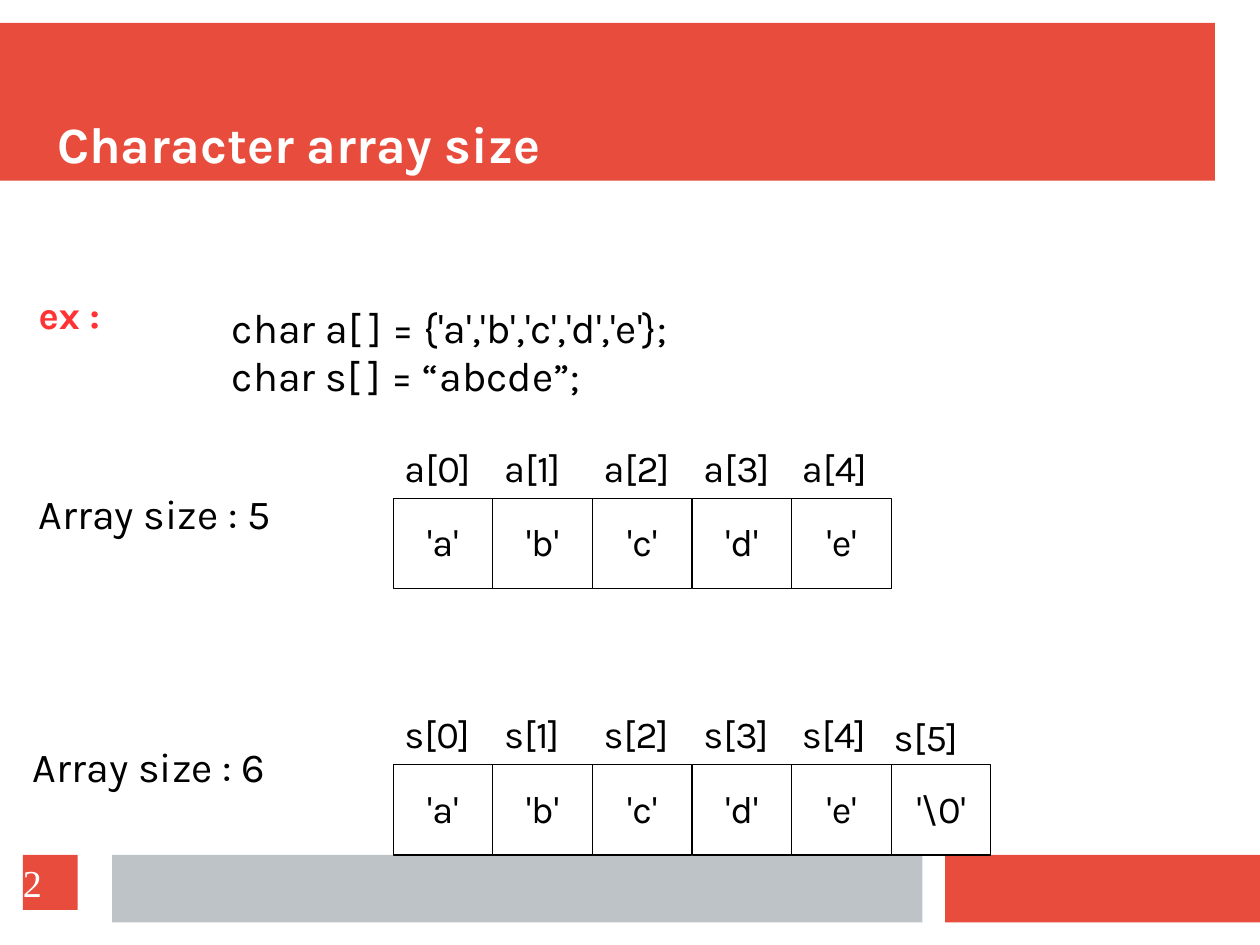
import pptx
import pptx.util
import pptx.dml.color
import pptx.enum.shapes
import pptx.enum.text

Inches = pptx.util.Inches
Pt = pptx.util.Pt
ALIGN = pptx.enum.text.PP_ALIGN
ANCHOR = pptx.enum.text.MSO_ANCHOR

COLORS = {"red": "E74C3C", "gray": "BDC3C7", "white": "FFFFFF",
          "black": "000000", "accent": "FF3333"}
SLIDE_W, SLIDE_H = 28 / 2.54, 21 / 2.54  # 28 x 21 cm
ARRAY_LEFT, LAST_CELL_LEFT = 3.44, 7.8
PITCH = (LAST_CELL_LEFT - ARRAY_LEFT) / 5
CELL_W, CELL_H = 0.87, 0.79
LABEL_H = 0.5


def rgb(name):
    return pptx.dml.color.RGBColor.from_string(COLORS[name])


def write(tf, text, color="black", align=ALIGN.LEFT, spacing=0.97,
          frame=None, **font):
    """Fill a text frame, one paragraph per line."""
    frame_format = {"word_wrap": True, "vertical_anchor": ANCHOR.TOP,
                    "auto_size": pptx.enum.text.MSO_AUTO_SIZE.NONE}
    for name, value in {**frame_format, **(frame or {})}.items():
        setattr(tf, name, value)
    font_format = {"name": "Karla", "size": Pt(24), "bold": False, **font}
    for i, line in enumerate(text.split("\n")):
        p = tf.paragraphs[0] if i == 0 else tf.add_paragraph()
        p.alignment, p.line_spacing = align, spacing
        r = p.add_run()
        r.text = line
        r.font.color.rgb = rgb(color)
        for name, value in font_format.items():
            setattr(r.font, name, value)


def add_rect(s, box, fill, line=None):
    sp = s.shapes.add_shape(pptx.enum.shapes.MSO_SHAPE.RECTANGLE,
                            *map(Inches, box))
    sp.shadow.inherit = False
    sp.fill.solid()
    sp.fill.fore_color.rgb = rgb(fill)
    if line:
        sp.line.color.rgb = rgb(line)
        sp.line.width = Pt(0.75)
    else:
        sp.line.fill.background()
    return sp


def add_text(s, box, text, **style):
    sp = s.shapes.add_textbox(*map(Inches, box))
    write(sp.text_frame, text, **style)


def add_header(s, box, text):
    """Red band with the title at its bottom."""
    x, y, w, h = box
    add_rect(s, box, "red")
    sp = s.shapes.title
    s.shapes.element.append(sp.element)  # bring in front of the band
    place = {"left": x + 0.39, "top": y + 0.39, "width": w - 0.44, "height": h - 0.44}
    for name, value in place.items():
        setattr(sp, name, Inches(value))
    write(sp.text_frame, text, color="white", size=Pt(32), bold=True,
          frame={"vertical_anchor": ANCHOR.BOTTOM, "margin_left": Inches(0.11),
                 "margin_right": 0, "margin_top": 0, "margin_bottom": 0})


def add_footer(s, box, number):
    """Gray and red bars with the page number on the left."""
    x, y, w, h = box
    add_rect(s, (x + 0.98, y, 7.09, h), "gray")
    add_rect(s, (x + 8.27, y, w - 8.27, h), "red")
    sp = add_rect(s, (x + 0.2, y, 0.48, 0.48), "red")
    write(sp.text_frame, number, color="white", name="Times New Roman", spacing=1.0,
          frame={"vertical_anchor": ANCHOR.MIDDLE, "margin_left": 0,
                 "margin_right": 0, "margin_top": 0, "margin_bottom": 0})


def add_array(s, left, top, name, values, nudges):
    """Row of cells with an index label above each one."""
    for i, value in enumerate(values):
        x = left + i * PITCH
        sp = add_rect(s, (x, top, CELL_W, CELL_H), "white", "black")
        write(sp.text_frame, f"'{value}'", align=ALIGN.CENTER,
              frame={"vertical_anchor": ANCHOR.MIDDLE})
        dx, dy = nudges.get(i, (0, 0))
        add_text(s, (x + dx, top - LABEL_H + dy, CELL_W, LABEL_H),
                 f"{name}[{i}]")


def add_example(s, box):
    """Declarations of both arrays."""
    x, y, w, h = box
    add_text(s, (x, y, 1.73, 0.5), "ex :", color="accent", bold=True)
    add_text(s, (x + 1.69, y + 0.1, w - 1.69, h - 0.1),
             "char a[ ] = {'a','b','c','d','e'};\nchar s[ ] = “abcde”;",
             size=Pt(26))


def main():
    prs = pptx.Presentation()
    prs.slide_width, prs.slide_height = Inches(SLIDE_W), Inches(SLIDE_H)
    s = prs.slides.add_slide(prs.slide_layouts[5])

    # Frame of the slide
    add_header(s, (0, 0.2, 10.63, 1.38), "Character array size")
    add_footer(s, (0, 7.48, SLIDE_W, 0.59), "2")

    # Example and sizes
    add_example(s, (0.24, 2.52, 7.08, 1.05))
    for x, y, size in ((0.24, 4.25, 5), (0.19, 6.46, 6)):
        add_text(s, (x, y, 2.57, 0.53), f"Array size : {size}", size=Pt(26))

    # Arrays in memory
    nudges = {4: (-0.01, 0), 5: (-0.08, 0.03)}
    for top, name, values in ((4.36, "a", "abcde"),
                              (6.69, "s", [*"abcde", "\\0"])):
        add_array(s, ARRAY_LEFT, top, name, values, nudges)

    prs.save("out.pptx")


if __name__ == "__main__":
    main()
